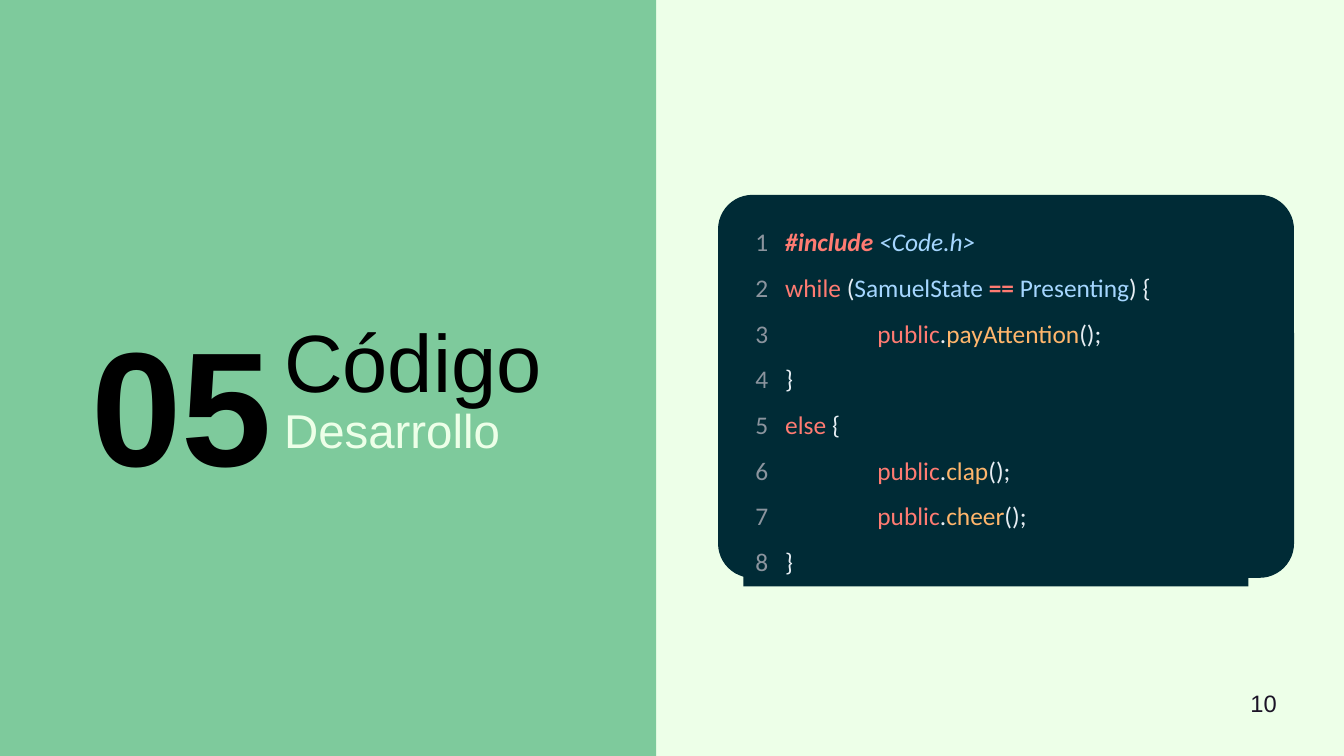
from lxml.etree import SubElement
from pptx import Presentation
from pptx.dml.color import RGBColor
from pptx.enum.shapes import MSO_SHAPE as SHAPE
from pptx.enum.text import MSO_ANCHOR as ANCHOR, PP_ALIGN as ALIGN
from pptx.oxml.ns import qn
from pptx.util import Cm, Pt

MINT = RGBColor(0xED, 0xFF, 0xE8)
GREEN = RGBColor(0x7E, 0xCA, 0x9C)
BLACK = RGBColor(0, 0, 0)
INK = RGBColor(0x1C, 0x14, 0x27)
NAVY = RGBColor(0x00, 0x2B, 0x36)
GRAY = RGBColor(0x8B, 0x94, 0x9E)
RED = RGBColor(0xFF, 0x7B, 0x72)
SKY = RGBColor(0xA5, 0xD6, 0xFF)
WHITE = RGBColor(0xE6, 0xED, 0xF3)
ORANGE = RGBColor(0xFF, 0xB6, 0x6C)


def call(name):
    return [("\t", WHITE), ("public", RED), (".", WHITE), (name, ORANGE), ("();", WHITE)]


CODE = [
    [("#include ", RED, True, True), ("<Code.h>", SKY, False, True)],
    [("while ", RED), ("(", WHITE), ("SamuelState ", SKY), ("== ", RED, True),
     ("Presenting", SKY), (") {", WHITE)],
    call("payAttention"),
    [("}", WHITE)],
    [("else ", RED), ("{", WHITE)],
    call("clap"),
    call("cheer"),
    [("}", WHITE)],
]


class SlideBuilder:
    heading_font = "Arial"
    code_font = "Calibri"
    code_size = 15
    code_tabs = (Cm(0.62), Cm(2.54))

    def __init__(self, prs):
        self.s = prs.slides.add_slide(prs.slide_layouts[6])
        self.s.background.fill.solid()
        self.s.background.fill.fore_color.rgb = MINT

    def run(self, p, text, font, size, color, bold=False, italic=False):
        r = p.add_run()
        r.text = text
        r.font.name = font
        r.font.size = Pt(size)
        r.font.color.rgb = color
        r.font.bold = bold
        r.font.italic = italic

    def panel(self, kind, box, color):
        sp = self.s.shapes.add_shape(kind, *map(Cm, box))
        sp.shadow.inherit = False
        sp.fill.solid()
        sp.fill.fore_color.rgb = color
        sp.line.fill.background()
        return sp

    def text(self, box, text, size, color, bold=False, wrap=True,
             anchor=ANCHOR.TOP, align=ALIGN.LEFT, margins=(0, 0)):
        tf = self.s.shapes.add_textbox(*map(Cm, box)).text_frame
        tf.word_wrap = wrap
        tf.vertical_anchor = anchor
        tf.margin_left = tf.margin_right = Cm(margins[0])
        tf.margin_top = tf.margin_bottom = Cm(margins[1])
        p = tf.paragraphs[0]
        p.alignment = align
        self.run(p, text, self.heading_font, size, color, bold)

    def code(self, box, lines):
        tf = self.panel(SHAPE.RECTANGLE, box, NAVY).text_frame
        tf.word_wrap = True
        tf.vertical_anchor = ANCHOR.MIDDLE
        for number, tokens in enumerate(lines, 1):
            p = tf.paragraphs[0] if number == 1 else tf.add_paragraph()
            p.alignment = ALIGN.LEFT
            p.line_spacing = 1.5
            tabs = SubElement(p._p.get_or_add_pPr(), qn("a:tabLst"))
            for pos in self.code_tabs:
                SubElement(tabs, qn("a:tab"), pos=str(int(pos)), algn="l")
            for text, *style in [(f"{number}\t", GRAY), *tokens]:
                self.run(p, text, self.code_font, self.code_size, *style)


def main():
    prs = Presentation()
    prs.slide_width, prs.slide_height = Cm(28), Cm(15.75)
    b = SlideBuilder(prs)
    b.panel(SHAPE.RECTANGLE, (0, 0, 13.67, 15.75), GREEN)
    b.text((5.92, 6.55, 6, 1.9), "Código", 48, BLACK, anchor=ANCHOR.MIDDLE)
    b.text((1.65, 6.2, 4.27, 4.04), "05", 96, BLACK, bold=True, wrap=False,
           margins=(0.25, 0.13))
    b.text((5.92, 8.05, 6, 1.8), "Desarrollo", 28, MINT, anchor=ANCHOR.MIDDLE)
    card = b.panel(SHAPE.ROUNDED_RECTANGLE, (14.96, 4.06, 12, 7.98), NAVY)
    card.adjustments[0] = 0.09
    b.code((15.49, 4.19, 10.52, 8.03), CODE)
    b.text((20.07, 14.35, 6.53, 1.09), "10", 14, INK, align=ALIGN.RIGHT)
    prs.save("out.pptx")


if __name__ == "__main__":
    main()
